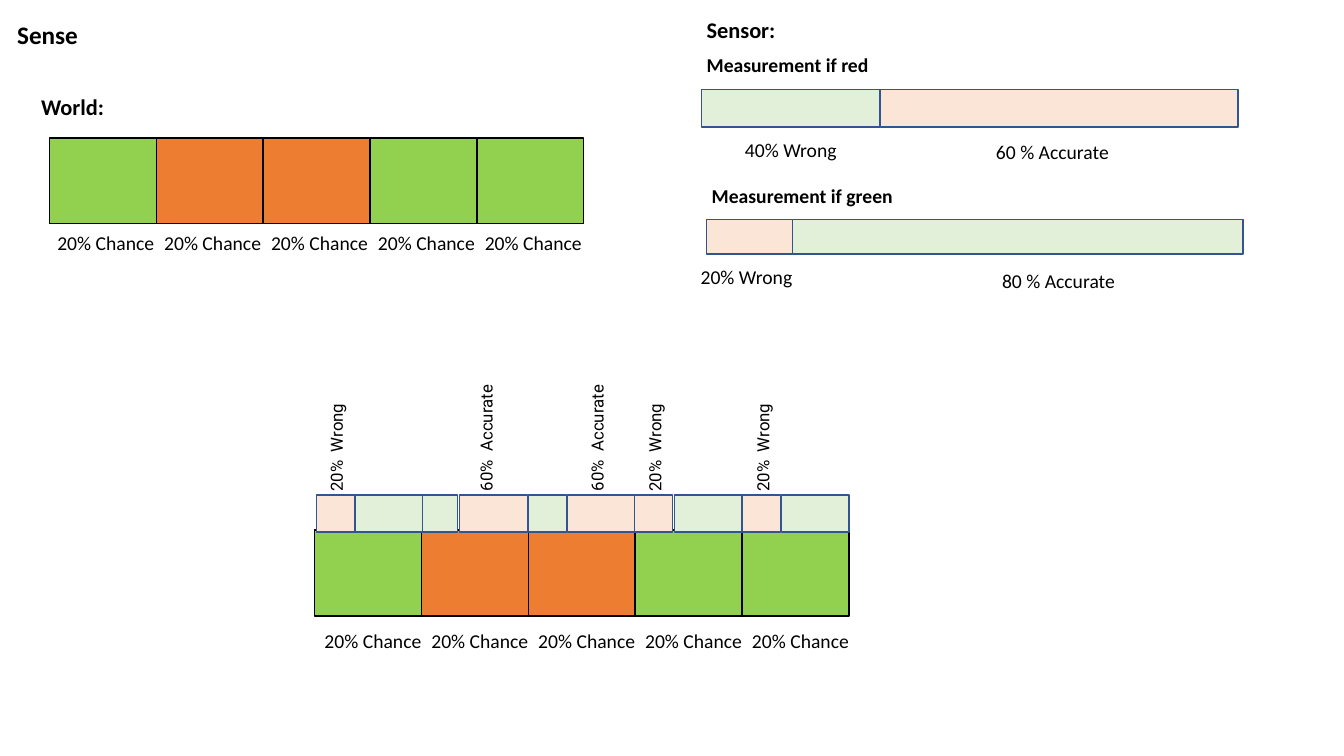
import pptx
import pptx.dml.color
import pptx.enum.shapes
import pptx.enum.text
import pptx.util

PX = 9144  # 100 px to the inch
COLORS = {
    "text": "000000",
    "green": "92D050",
    "red": "ED7D31",
    "light green": "E2F0D9",
    "light red": "FBE5D6",
    "cell line": "000000",
    "sensor line": "325491",
}
HEADING = {"name": "Calibri", "size": pptx.util.Pt(16), "bold": True}
TITLE = {**HEADING, "size": pptx.util.Pt(18)}
SUBHEADING = {**HEADING, "size": pptx.util.Pt(14)}
LABEL = {**SUBHEADING, "bold": False}
SIDE_LABEL = {"name": "Roboto", "size": pptx.util.Pt(12), "bold": False}
FRAME = {
    "word_wrap": False,
    "auto_size": pptx.enum.text.MSO_AUTO_SIZE.SHAPE_TO_FIT_TEXT,
    "vertical_anchor": pptx.enum.text.MSO_ANCHOR.TOP,
    "margin_left": 10 * PX,
    "margin_right": 10 * PX,
    "margin_top": 5 * PX,
    "margin_bottom": 5 * PX,
}
PARAGRAPH = {
    "alignment": pptx.enum.text.PP_ALIGN.LEFT,
    "line_spacing": 1.0,
    "space_before": pptx.util.Pt(0),
}

presentation = pptx.Presentation()
presentation.slide_width = 1333 * PX
presentation.slide_height = 750 * PX
slide = presentation.slides.add_slide(presentation.slide_layouts[5])


def add_text(text, left, top, width, height, font_format, shape=None):
    box = [length * PX for length in (left, top, width, height)]
    if shape is None:
        shape = slide.shapes.add_textbox(*box)
    shape.left, shape.top, shape.width, shape.height = box
    shape.text_frame.text = text
    paragraph = shape.text_frame.paragraphs[0]
    font = paragraph.runs[0].font
    for target, values in (
        (shape.text_frame, FRAME),
        (paragraph, PARAGRAPH),
        (font, font_format),
    ):
        for name, value in values.items():
            setattr(target, name, value)
    font.color.rgb = pptx.dml.color.RGBColor.from_string(COLORS["text"])
    return shape


def add_bar(left, top, width, height, fill, line):
    shape = slide.shapes.add_shape(
        pptx.enum.shapes.MSO_SHAPE.RECTANGLE,
        left * PX, top * PX, width * PX, height * PX,
    )
    shape.shadow.inherit = False
    shape.fill.solid()
    shape.fill.fore_color.rgb = pptx.dml.color.RGBColor.from_string(COLORS[fill])
    shape.line.color.rgb = pptx.dml.color.RGBColor.from_string(COLORS[line])
    shape.line.width = pptx.util.Pt(1)


# Title and headings
add_text("Sense", 7, 14, 81, 40, TITLE, slide.shapes.title)
add_text("World:", 31, 87, 83, 37, HEADING)
add_text("Sensor:", 691, 11, 95, 37, HEADING)

# Sensor model: one split bar for each measurement
sensor_bars = [
    (696, 89, 177, 355, 37, "light green", "light red"),
    (701, 218, 85, 447, 34, "light red", "light green"),
]
for left, top, wrong, accurate, height, wrong_fill, accurate_fill in sensor_bars:
    add_bar(left + wrong, top, accurate, height, accurate_fill, "sensor line")
    add_bar(left, top, wrong, height, wrong_fill, "sensor line")

sensor_labels = [
    ("Measurement if red", 691, 48, 182, SUBHEADING),
    ("40% Wrong", 729, 132, 112, LABEL),
    ("60 % Accurate", 978, 134, 133, LABEL),
    ("Measurement if green", 696, 178, 201, SUBHEADING),
    ("20% Wrong", 685, 258, 112, LABEL),
    ("80 % Accurate", 984, 262, 133, LABEL),
]
for text, left, top, width, font_format in sensor_labels:
    add_text(text, left, top, width, 34, font_format)

# World cells, alone and below the sensor strip
CELL_WIDTH, CELL_HEIGHT = 106, 85
world = ["green", "red", "red", "green", "green"]
world_rows = [(49, 137, 47, 224), (312, 526, 312, 619)]
for cell_left, cell_top, label_left, label_top in world_rows:
    for index, color in enumerate(world):
        offset = index * CELL_WIDTH
        add_bar(cell_left + offset, cell_top, CELL_WIDTH, CELL_HEIGHT, color, "cell line")
        add_text("20% Chance", label_left + offset, label_top, 117, 34, LABEL)

# Sensor strip: narrow left, narrow width, wide left, label left
strip = [
    (314, 38, 352, 279),
    (419, 35, 456, 418),
    (524, 38, 563, 528),
    (629, 38, 669, 595),
    (736, 38, 775, 702),
]
for color, (narrow_left, narrow_width, wide_left, label_left) in zip(world, strip):
    if color == "red":
        narrow_fill, wide_fill = "light green", "light red"
        text, label_top, label_width = "60%  Accurate", 418, 128
    else:
        narrow_fill, wide_fill = "light red", "light green"
        text, label_top, label_width = "20%  Wrong", 428, 109
    add_bar(wide_left, 491, 67, 37, wide_fill, "sensor line")
    add_bar(narrow_left, 491, narrow_width, 37, narrow_fill, "sensor line")
    label = add_text(text, label_left, label_top, label_width, 30, SIDE_LABEL)
    label.rotation = 270

presentation.save("out.pptx")
